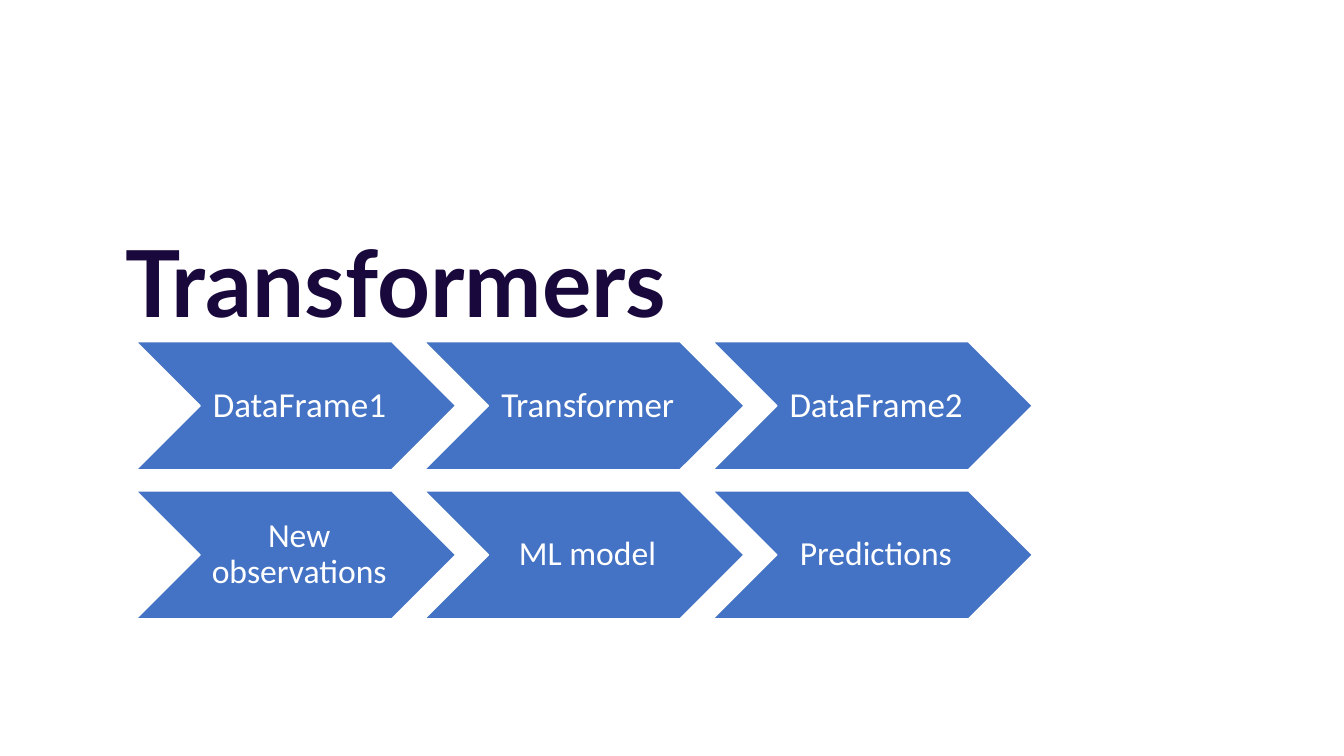
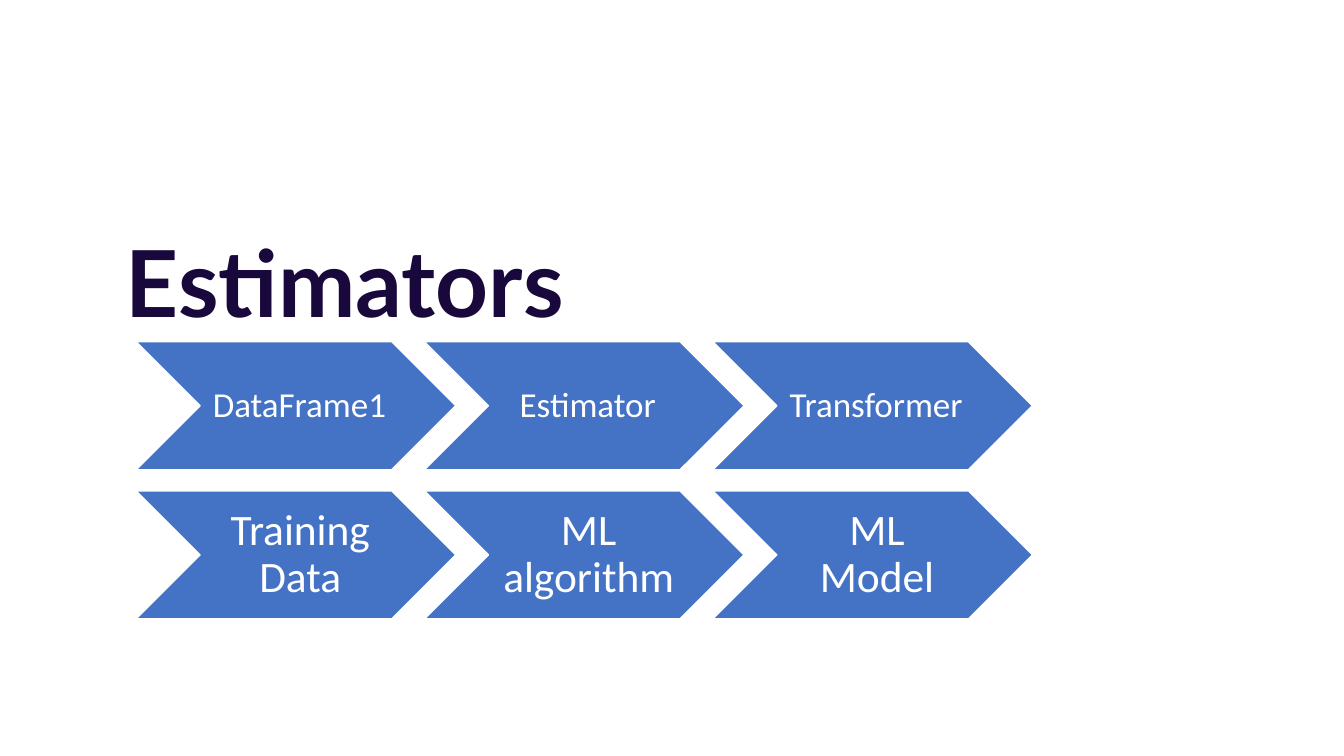
from dataclasses import dataclass

from pptx import Presentation
from pptx.dml.color import RGBColor
from pptx.enum.shapes import MSO_SHAPE
from pptx.enum.text import MSO_ANCHOR, PP_ALIGN
from pptx.util import Inches, Pt


@dataclass(frozen=True)
class Theme:
    title_color: RGBColor = RGBColor(0x19, 0x08, 0x3B)
    chevron_color: RGBColor = RGBColor(0x44, 0x72, 0xC4)
    white: RGBColor = RGBColor(0xFF, 0xFF, 0xFF)
    title_font: str = "Lato"
    body_font: str = "Calibri"
    title_size: int = 66
    small_size: int = 24
    medium_size: int = 25
    large_size: int = 31
    line_spacing: float = 0.9


THEME = Theme()

# Chevron grid, in inches
CHEVRON_LEFT, CHEVRON_TOP = 1.35, 3.39
CHEVRON_WIDTH, CHEVRON_HEIGHT = 3.17, 1.27
COLUMN_STEP, ROW_STEP = 2.86, 1.48

# Each slide: title, then rows of (type size, labels)
SLIDES = [
    ("Transformers", [
        (THEME.medium_size, ["DataFrame1", "Transformer", "DataFrame2"]),
        (THEME.small_size, ["New observations", "ML model", "Predictions"]),
    ]),
    ("Estimators", [
        (THEME.medium_size, ["DataFrame1", "Estimator", "Transformer"]),
        (THEME.large_size, ["Training Data", "ML algorithm", "ML Model"]),
    ]),
]


class Deck:
    """Holds the theme and the current slide."""

    def __init__(self, theme):
        self.theme = theme
        self.presentation = Presentation()
        self.presentation.slide_width = Inches(13.33)
        self.presentation.slide_height = Inches(7.5)
        self.slide = None

    def new_slide(self):
        blank = self.presentation.slide_layouts[6]
        self.slide = self.presentation.slides.add_slide(blank)
        background = self.slide.background.fill
        background.solid()
        background.fore_color.rgb = self.theme.white

    def add_text(self, shape, text, font, size, color, align, anchor, bold=False):
        frame = shape.text_frame
        frame.word_wrap = True
        frame.vertical_anchor = anchor
        paragraph = frame.paragraphs[0]
        paragraph.alignment = align
        paragraph.line_spacing = self.theme.line_spacing
        run = paragraph.add_run()
        run.text = text
        run.font.name = font
        run.font.size = Pt(size)
        run.font.bold = bold
        run.font.color.rgb = color

    def title(self, text):
        shape = self.slide.shapes.add_textbox(
            Inches(1.15), Inches(2.08), Inches(8.79), Inches(1.32))
        self.add_text(shape, text, self.theme.title_font, self.theme.title_size,
                      self.theme.title_color, PP_ALIGN.LEFT, MSO_ANCHOR.BOTTOM, bold=True)

    def chevron(self, left, top, text, size):
        shape = self.slide.shapes.add_shape(
            MSO_SHAPE.CHEVRON, Inches(left), Inches(top),
            Inches(CHEVRON_WIDTH), Inches(CHEVRON_HEIGHT))
        shape.shadow.inherit = False
        shape.fill.solid()
        shape.fill.fore_color.rgb = self.theme.chevron_color
        shape.line.color.rgb = self.theme.white
        shape.line.width = Pt(1)
        # Margins grow with the type; the left one is three times the others
        margin = Pt(size * 0.1)
        frame = shape.text_frame
        frame.margin_left = 3 * margin
        frame.margin_top = frame.margin_right = frame.margin_bottom = margin
        self.add_text(shape, text, self.theme.body_font, size,
                      self.theme.white, PP_ALIGN.CENTER, MSO_ANCHOR.MIDDLE)

    def chevron_row(self, row, labels, size):
        for column, label in enumerate(labels):
            self.chevron(CHEVRON_LEFT + column * COLUMN_STEP,
                         CHEVRON_TOP + row * ROW_STEP, label, size)


def main():
    deck = Deck(THEME)
    for title, rows in SLIDES:
        deck.new_slide()
        deck.title(title)
        for row, (size, labels) in enumerate(rows):
            deck.chevron_row(row, labels, size)
    deck.presentation.save("out.pptx")


if __name__ == "__main__":
    main()
